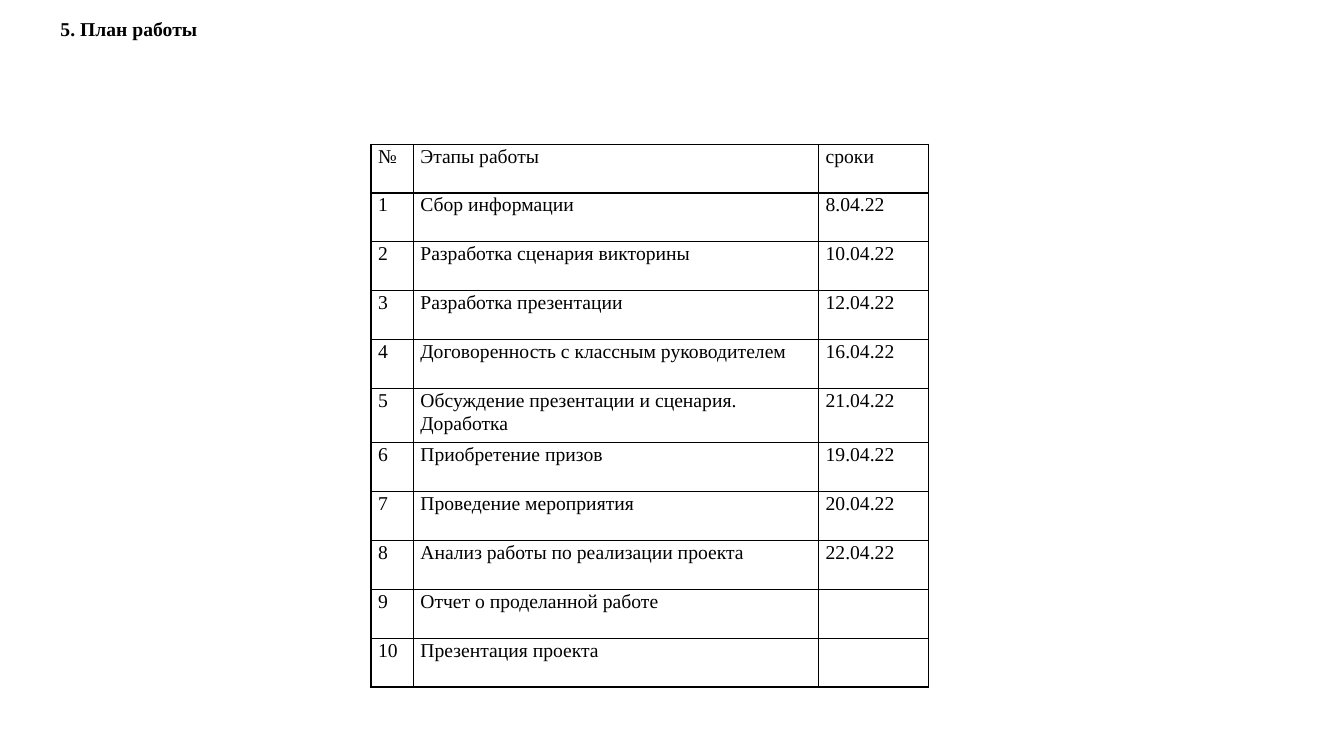
"""Build the work plan slide with its table of stages and dates."""
import lxml.etree
import pptx
import pptx.dml.color
import pptx.enum.text
import pptx.oxml.ns
import pptx.util

Inches = pptx.util.Inches
BLACK = pptx.dml.color.RGBColor(0, 0, 0)
FONT = "Times New Roman"

HEADING = "5. План работы"
COLUMNS = ("№", "Этапы работы", "сроки")
STAGES = [
    ("Сбор информации", "8.04.22"),
    ("Разработка сценария викторины", "10.04.22"),
    ("Разработка презентации", "12.04.22"),
    ("Договоренность с классным руководителем", "16.04.22"),
    ("Обсуждение презентации и сценария. Доработка", "21.04.22"),
    ("Приобретение призов", "19.04.22"),
    ("Проведение мероприятия", "20.04.22"),
    ("Анализ работы по реализации проекта", "22.04.22"),
    ("Отчет о проделанной работе", ""),
    ("Презентация проекта", ""),
]
COLUMN_WIDTHS = (0.42, 4.02, 1.09)
ROW_HEIGHT = 0.485
TALL_ROW, TALL_HEIGHT = 5, 0.54


def write(frame, text, size=14, bold=False, spacing=1.0):
    frame.text = text
    paragraph = frame.paragraphs[0]
    paragraph.alignment = pptx.enum.text.PP_ALIGN.LEFT
    paragraph.line_spacing = spacing
    for font in [paragraph.font] + [run.font for run in paragraph.runs]:
        font.name = FONT
        font.size = pptx.util.Pt(size)
        font.bold = bold
        font.color.rgb = BLACK


def add_borders(cell, width=1):
    qn = pptx.oxml.ns.qn
    properties = cell._tc.get_or_add_tcPr()
    for position, side in enumerate(("lnL", "lnR", "lnT", "lnB")):
        border = lxml.etree.Element(qn(f"a:{side}"), w=str(pptx.util.Pt(width)))
        fill = lxml.etree.SubElement(border, qn("a:solidFill"))
        lxml.etree.SubElement(fill, qn("a:srgbClr"), val=str(BLACK))
        properties.insert(position, border)


deck = pptx.Presentation()
deck.slide_width, deck.slide_height = Inches(13.33), Inches(7.5)
slide = deck.slides.add_slide(deck.slide_layouts[5])

heading = slide.shapes.title
heading.left, heading.top = Inches(0.5), Inches(0.11)
heading.width, heading.height = Inches(11.35), Inches(0.34)
heading.text_frame.vertical_anchor = pptx.enum.text.MSO_ANCHOR.MIDDLE
heading.text_frame.word_wrap = True
write(heading.text_frame, HEADING, bold=True)

plan_rows = [COLUMNS] + [(str(number), *stage) for number, stage in enumerate(STAGES, 1)]
row_heights = [TALL_HEIGHT if i == TALL_ROW else ROW_HEIGHT for i in range(len(plan_rows))]
plan = slide.shapes.add_table(
    len(plan_rows), len(COLUMNS), Inches(3.68), Inches(1.43),
    Inches(sum(COLUMN_WIDTHS)), Inches(sum(row_heights))).table
plan.first_row = plan.horz_banding = False
for column, width in zip(plan.columns, COLUMN_WIDTHS):
    column.width = Inches(width)
for row, height, texts in zip(plan.rows, row_heights, plan_rows):
    row.height = Inches(height)
    for cell, text in zip(row.cells, texts):
        cell.margin_left = cell.margin_right = Inches(0.07)
        cell.margin_top = cell.margin_bottom = 0
        cell.fill.background()
        add_borders(cell)
        write(cell.text_frame, text, spacing=1.07)

deck.save("out.pptx")
